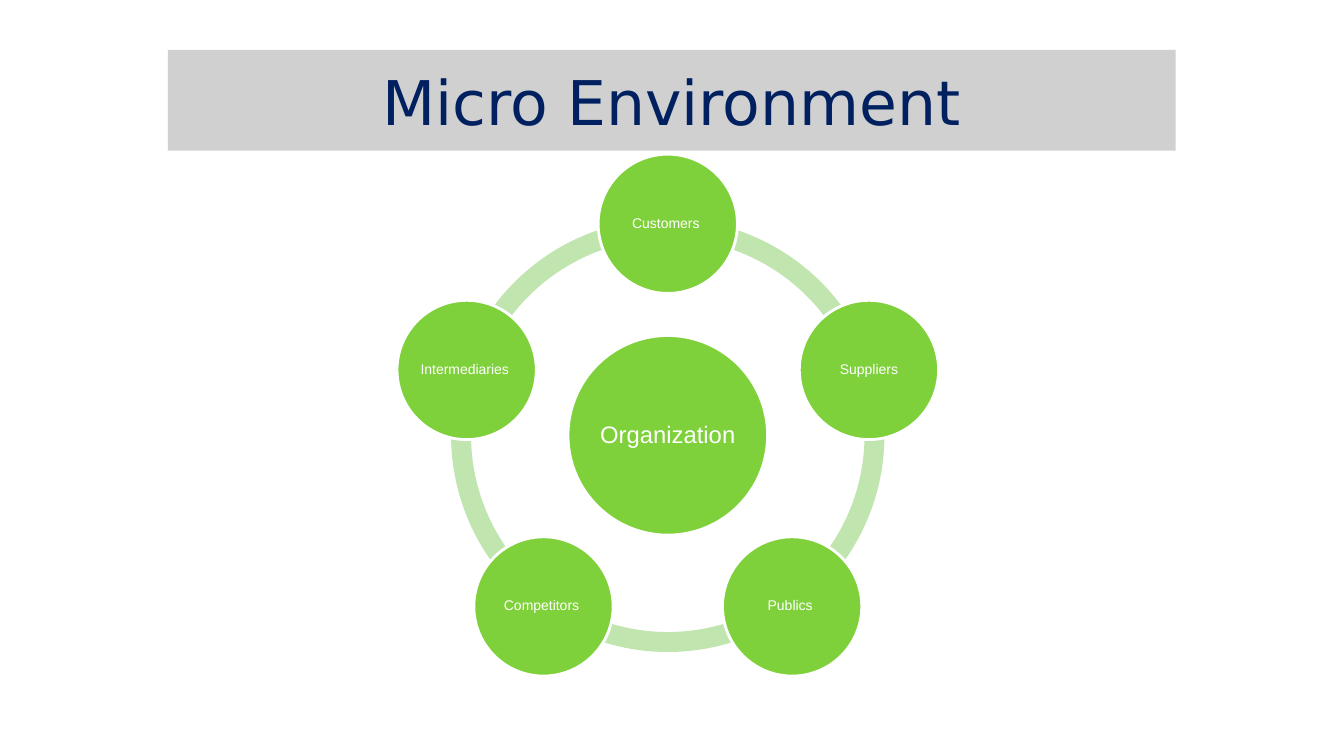
from dataclasses import dataclass
from math import cos, radians, sin

from lxml.etree import SubElement
from pptx import Presentation
from pptx.dml.color import RGBColor
from pptx.enum.shapes import MSO_SHAPE as Shape
from pptx.enum.text import MSO_ANCHOR as Anchor, PP_ALIGN as Align
from pptx.oxml.ns import qn
from pptx.util import Cm, Pt


@dataclass(frozen=True)
class Theme:
    circle: str = "7FD13B"
    ring: str = "C0E5AF"
    white: str = "FFFFFF"
    banner: str = "A6A6A6"
    title: str = "002060"
    title_font: str = "DejaVu Sans"
    label_font: str = "Arial"
    title_size: int = 44
    hub_size: int = 17
    node_size: int = 10


class RadialSlide:
    """Draws a title banner and a ring of labelled circles on one slide."""

    def __init__(self, slide, theme):
        self.slide = slide
        self.theme = theme

    def add_shape(self, kind, left, top, width, height, fill):
        shape = self.slide.shapes.add_shape(
            kind, Cm(left), Cm(top), Cm(width), Cm(height))
        shape.shadow.inherit = False
        shape.fill.solid()
        shape.fill.fore_color.rgb = RGBColor.from_string(fill)
        shape.line.fill.background()
        return shape

    def add_label(self, shape, text, font_name, size, color):
        frame = shape.text_frame
        frame.text = text
        frame.word_wrap = True
        frame.vertical_anchor = Anchor.MIDDLE
        paragraph = frame.paragraphs[0]
        paragraph.alignment = Align.CENTER
        font = paragraph.runs[0].font
        font.name = font_name
        font.size = Pt(size)
        font.color.rgb = RGBColor.from_string(color)

    def add_banner(self, text, left, top, width, height, opacity):
        theme = self.theme
        shape = self.add_shape(Shape.RECTANGLE, left, top, width, height, theme.banner)
        color = shape._element.spPr.find(qn("a:solidFill")).find(qn("a:srgbClr"))
        SubElement(color, qn("a:alpha")).set("val", str(opacity * 1000))
        self.add_label(shape, text, theme.title_font, theme.title_size, theme.title)

    def add_arc(self, center_x, center_y, diameter, start, sweep, thickness):
        arc = self.add_shape(
            Shape.BLOCK_ARC, center_x - diameter / 2, center_y - diameter / 2,
            diameter, diameter, self.theme.ring)
        for index, angle in enumerate((start, start + sweep)):
            arc.adjustments[index] = angle % 360 * 0.6
        arc.adjustments[2] = thickness

    def add_circle(self, text, center_x, center_y, diameter, size):
        theme = self.theme
        circle = self.add_shape(
            Shape.OVAL, center_x - diameter / 2, center_y - diameter / 2,
            diameter, diameter, theme.circle)
        circle.line.color.rgb = RGBColor.from_string(theme.white)
        circle.line.width = Pt(2)
        frame = circle.text_frame
        frame.margin_left = frame.margin_right = Cm(0.03)
        frame.margin_top = frame.margin_bottom = Cm(0.03)
        self.add_label(circle, text, theme.label_font, size, theme.white)
        frame.paragraphs[0].line_spacing = 0.9


def main():
    presentation = Presentation()
    presentation.slide_width = Cm(33.87)
    presentation.slide_height = Cm(19.05)
    slide = presentation.slides.add_slide(presentation.slide_layouts[6])
    theme = Theme()
    radial = RadialSlide(slide, theme)

    center_x, center_y, orbit = 16.83, 10.97, 5.33
    actors = ["Customers ", "Suppliers", "Publics ", "Competitors ", "Intermediaries "]
    step = 360 / len(actors)
    angles = [270 + step * index for index in range(len(actors))]

    for angle in angles:
        radial.add_arc(center_x, center_y, 10.92, angle, step, 0.046)
    radial.add_circle("Organization ", center_x, center_y, 5.03, theme.hub_size)
    for actor, angle in zip(actors, angles):
        radial.add_circle(
            actor, center_x + orbit * cos(radians(angle)),
            center_y + orbit * sin(radians(angle)), 3.51, theme.node_size)
    radial.add_banner("Micro Environment", 4.23, 1.26, 25.4, 2.54, 52)

    presentation.save("out.pptx")


if __name__ == "__main__":
    main()
